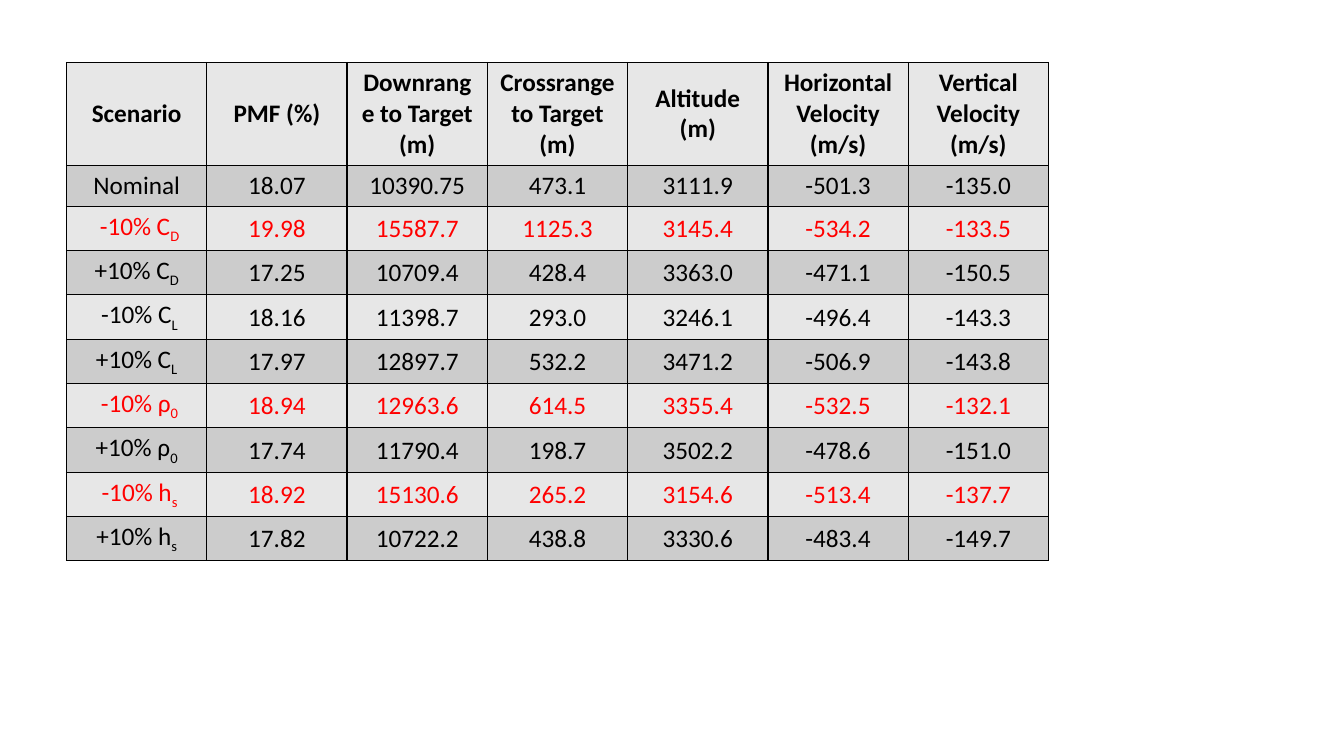
"""Build a slide with a table of landing results by scenario."""
from lxml.etree import SubElement
from pptx import Presentation
from pptx.dml.color import RGBColor
from pptx.enum.text import MSO_ANCHOR, PP_ALIGN
from pptx.oxml.ns import qn
from pptx.util import Inches, Pt

HEADS = ["Scenario", "PMF (%)", "Downrange to Target\n(m)",
         "Crossrange to Target (m)", "Altitude (m)",
         "Horizontal Velocity (m/s)", "Vertical Velocity\n(m/s)"]
CASES = [
    ("Nominal", "", "18.07", "10390.75", "473.1", "3111.9", "-501.3", "-135.0"),
    (" -10% C", "D", "19.98", "15587.7", "1125.3", "3145.4", "-534.2", "-133.5"),
    ("+10% C", "D", "17.25", "10709.4", "428.4", "3363.0", "-471.1", "-150.5"),
    (" -10% C", "L", "18.16", "11398.7", "293.0", "3246.1", "-496.4", "-143.3"),
    ("+10% C", "L", "17.97", "12897.7", "532.2", "3471.2", "-506.9", "-143.8"),
    (" -10% ρ", "0", "18.94", "12963.6", "614.5", "3355.4", "-532.5", "-132.1"),
    ("+10% ρ", "0", "17.74", "11790.4", "198.7", "3502.2", "-478.6", "-151.0"),
    (" -10% h", "s", "18.92", "15130.6", "265.2", "3154.6", "-513.4", "-137.7"),
    ("+10% h", "s", "17.82", "10722.2", "438.8", "3330.6", "-483.4", "-149.7"),
]
ALERTS = {2, 6, 8}
LIGHT, DARK, BLACK, RED = "E7E7E7", "CCCCCC", "000000", "FF0000"
LEFT, TOP, WIDTH = 0.66, 0.62, 9.74
HEIGHTS = [1.02, 0.4] + [0.44] * 8


def color(target, code):
    target.rgb = RGBColor.from_string(code)


def border(cell):
    props = cell._tc.get_or_add_tcPr()
    for side in ("lnL", "lnR", "lnT", "lnB"):
        line = SubElement(props, qn(f"a:{side}"), w=str(Pt(1)))
        paint = SubElement(line, qn("a:solidFill"))
        SubElement(paint, qn("a:srgbClr"), val=BLACK)


def write(cell, text, sub, fill, ink, bold):
    border(cell)
    cell.fill.solid()
    color(cell.fill.fore_color, fill)
    cell.vertical_anchor = MSO_ANCHOR.MIDDLE
    cell.text_frame.text = text
    if sub:
        run = cell.text_frame.paragraphs[0].add_run()
        run.text = sub
        run._r.get_or_add_rPr().set("baseline", "-25000")
    for para in cell.text_frame.paragraphs:
        para.alignment = PP_ALIGN.CENTER
        for run in para.runs:
            run.font.name = "Calibri"
            run.font.size = Pt(18)
            run.font.bold = bold
            color(run.font.color, ink)


def main():
    deck = Presentation()
    deck.slide_width, deck.slide_height = Inches(13.33), Inches(7.5)
    slide = deck.slides.add_slide(deck.slide_layouts[6])
    rows = [[(head, "") for head in HEADS]]
    for label, sub, *values in CASES:
        rows.append([(label, sub)] + [(value, "") for value in values])

    table = slide.shapes.add_table(
        len(rows), len(HEADS), Inches(LEFT), Inches(TOP),
        Inches(WIDTH), Inches(sum(HEIGHTS))).table
    table.first_row = table.horz_banding = False
    for col in table.columns:
        col.width = Inches(WIDTH / len(HEADS))
    for r, row in enumerate(rows):
        table.rows[r].height = Inches(HEIGHTS[r])
        fill = DARK if r % 2 else LIGHT
        ink = RED if r in ALERTS else BLACK
        for c, (text, sub) in enumerate(row):
            cell = table.cell(r, c)
            write(cell, text, sub, fill, ink, r == 0)
            if r and c:
                cell.margin_left = cell.margin_right = Inches(0.01)
                cell.margin_top, cell.margin_bottom = Inches(0.01), 0
    deck.save("out.pptx")


if __name__ == "__main__":
    main()
